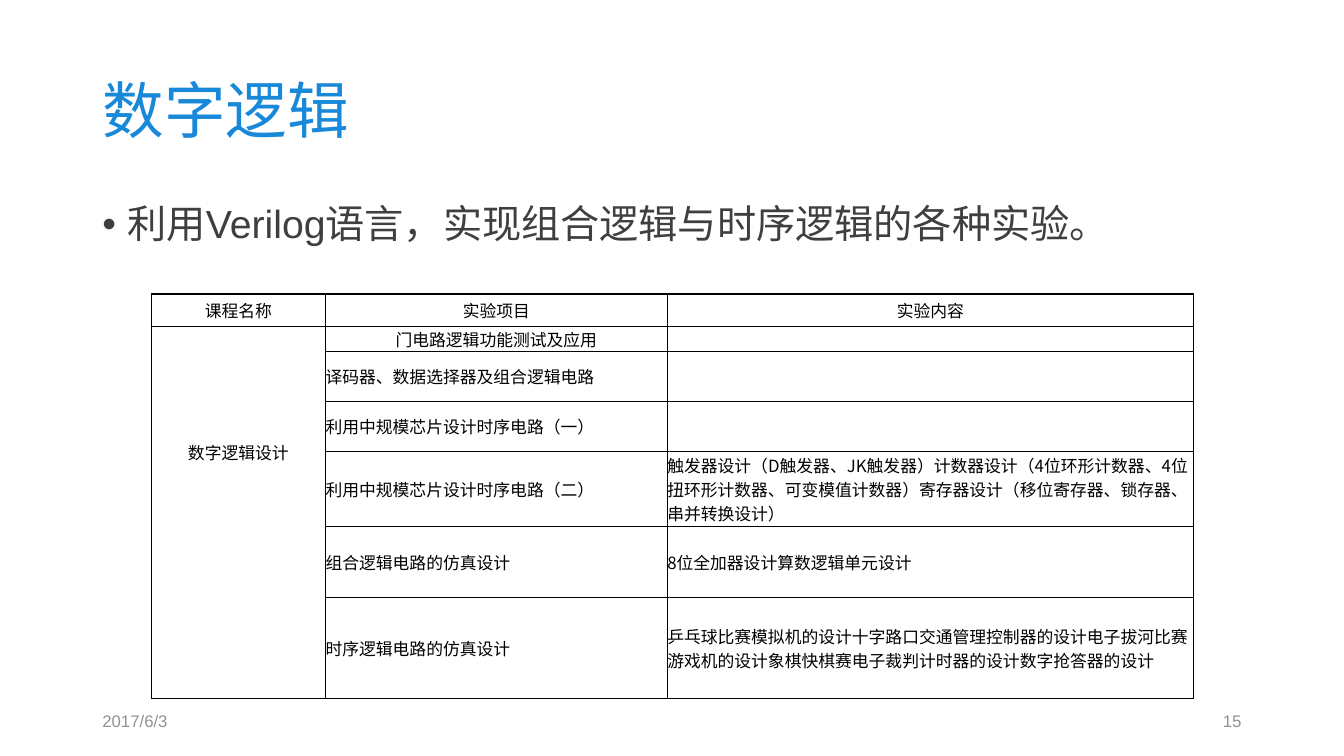
from lxml import etree
from pptx import Presentation
from pptx.dml.color import RGBColor
from pptx.enum.text import MSO_ANCHOR, MSO_AUTO_SIZE, PP_ALIGN
from pptx.oxml.ns import qn
from pptx.util import Inches, Pt

LEFT, CENTER, RIGHT = PP_ALIGN.LEFT, PP_ALIGN.CENTER, PP_ALIGN.RIGHT
TOP, MIDDLE = MSO_ANCHOR.TOP, MSO_ANCHOR.MIDDLE
FIXED_SIZE = MSO_AUTO_SIZE.NONE
TITLE_ONLY = 5

COLUMN_UNITS = [20.76, 40.68, 62.64]
ROW_UNITS = [3.9, 2.97, 5.95, 5.95, 8.93, 8.45, 12.05]
COURSE = "数字逻辑设计"
HEADINGS = ["课程名称", "实验项目", "实验内容"]
EXPERIMENTS = [
    ("门电路逻辑功能测试及应用", ""),
    ("译码器、数据选择器及组合逻辑电路", ""),
    ("利用中规模芯片设计时序电路（一）", ""),
    ("利用中规模芯片设计时序电路（二）",
     "触发器设计（D触发器、JK触发器）计数器设计（4位环形计数器、4位扭环形计数器、"
     "可变模值计数器）寄存器设计（移位寄存器、锁存器、串并转换设计）"),
    ("组合逻辑电路的仿真设计", "8位全加器设计算数逻辑单元设计"),
    ("时序逻辑电路的仿真设计",
     "乒乓球比赛模拟机的设计十字路口交通管理控制器的设计电子拔河比赛游戏机的设计"
     "象棋快棋赛电子裁判计时器的设计数字抢答器的设计"),
]


def color(value):
    return RGBColor.from_string(value)


def add_bullet(para, indent):
    properties = para._p.get_or_add_pPr()
    properties.set("marL", str(Inches(indent)))
    properties.set("indent", str(-Inches(indent)))
    etree.SubElement(properties, qn("a:buFont"), typeface="Arial")
    etree.SubElement(properties, qn("a:buChar"), char="•")


def write(frame, text, size=12, ink="000000", font="Arial", align=LEFT, line=1.0, bullet=False):
    para = frame.paragraphs[0]
    if bullet:
        add_bullet(para, 0.25)
    para.alignment = align
    para.line_spacing = line
    if not text:
        etree.SubElement(para._p, qn("a:endParaRPr"), sz=str(size * 100))
        return
    span = para.add_run()
    span.text = text
    span.font.size = Pt(size)
    span.font.name = font
    span.font.color.rgb = color(ink)
    etree.SubElement(span.font._element, qn("a:ea"), typeface="Noto Sans CJK SC")


class CoursePage:
    columns, rows = 160, 90
    title_ink, body_ink, footer_ink = "1889D9", "3F3F3F", "939393"
    rule_ink, paper = "000000", "FFFFFF"
    table_font = "Noto Sans CJK SC"

    def __init__(self, deck):
        self.deck = deck
        self.page = deck.slides.add_slide(deck.slide_layouts[TITLE_ONLY])

    def across(self, units):
        return int(self.deck.slide_width * units / self.columns)

    def down(self, units):
        return int(self.deck.slide_height * units / self.rows)

    def place(self, left, top, width, height):
        return self.across(left), self.down(top), self.across(width), self.down(height)

    def title(self, text, *area):
        box = self.page.shapes.title
        box.left, box.top, box.width, box.height = self.place(*area)
        frame = box.text_frame
        frame.auto_size = FIXED_SIZE
        frame.vertical_anchor = MIDDLE
        write(frame, text, size=44, ink=self.title_ink, line=0.9)

    def text(self, text, *area, anchor=MIDDLE, **style):
        frame = self.page.shapes.add_textbox(*self.place(*area)).text_frame
        frame.word_wrap = True
        frame.auto_size = FIXED_SIZE
        frame.vertical_anchor = anchor
        write(frame, text, **style)

    def cell(self, cell, text, side_rule, align):
        cell.margin_left = cell.margin_right = cell.margin_top = cell.margin_bottom = 0
        cell.vertical_anchor = MIDDLE
        properties = cell._tc.get_or_add_tcPr()
        for side, width in (("L", side_rule), ("R", side_rule), ("T", 1), ("B", 1)):
            border = etree.SubElement(properties, qn("a:ln" + side), w=str(Pt(width)))
            fill = etree.SubElement(border, qn("a:solidFill"))
            etree.SubElement(fill, qn("a:srgbClr"), val=self.rule_ink)
        cell.fill.solid()
        cell.fill.fore_color.rgb = color(self.paper)
        write(cell.text_frame, text, font=self.table_font, align=align)

    def table(self, left, top, headings, course, experiments):
        records = [headings] + [("", *experiment) for experiment in experiments]
        records[1] = (course, *experiments[0])
        area = self.place(left, top, sum(COLUMN_UNITS), sum(ROW_UNITS))
        table = self.page.shapes.add_table(len(records), len(headings), *area).table
        table.first_row = table.horz_banding = False
        for column, units in zip(table.columns, COLUMN_UNITS):
            column.width = self.across(units)
        for row, units in zip(table.rows, ROW_UNITS):
            row.height = self.down(units)
        for i, record in enumerate(records):
            for j, text in enumerate(record):
                align = CENTER if i < 2 or j == 0 else LEFT
                self.cell(table.cell(i, j), text, 0.75 if j == 2 else 1, align)
        course_cell = table.cell(1, 0)
        course_cell.merge(table.cell(len(experiments), 0))
        course_cell.margin_bottom = self.down(14.4)


def main():
    deck = Presentation()
    deck.slide_width, deck.slide_height = Inches(13.33), Inches(7.5)
    page = CoursePage(deck)
    page.title("数字逻辑", 11, 4.8, 138, 17.4)
    page.text("利用Verilog语言，实现组合逻辑与时序逻辑的各种实验。", 11, 23.8, 138, 10,
              anchor=TOP, size=28, ink=page.body_ink, line=0.9, bullet=True)
    page.table(18, 35, HEADINGS, COURSE, EXPERIMENTS)
    page.text("2017/6/3", 11, 83.4, 36, 4.8, ink=page.footer_ink)
    page.text("15", 113, 83.4, 36, 4.8, ink=page.footer_ink, align=RIGHT)
    deck.save("out.pptx")


if __name__ == "__main__":
    main()
